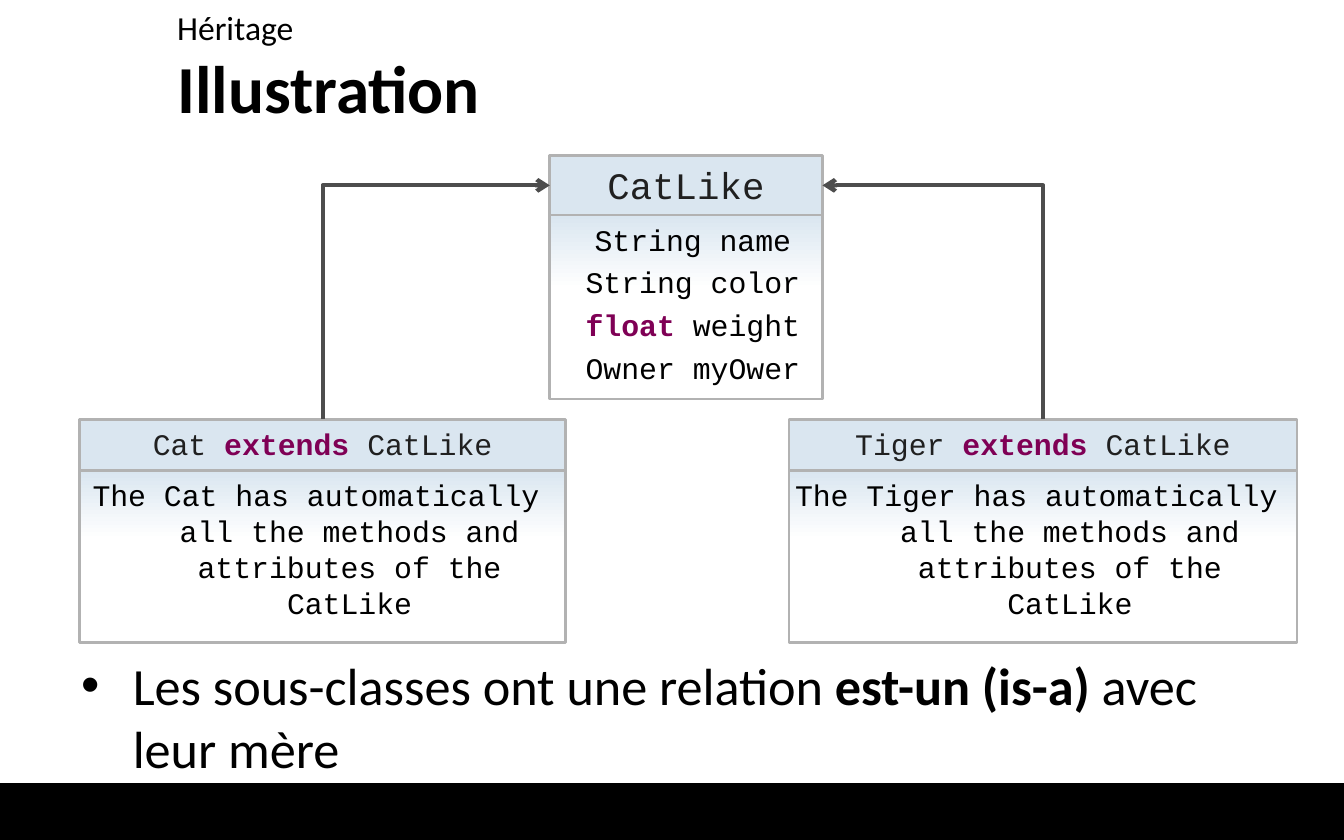
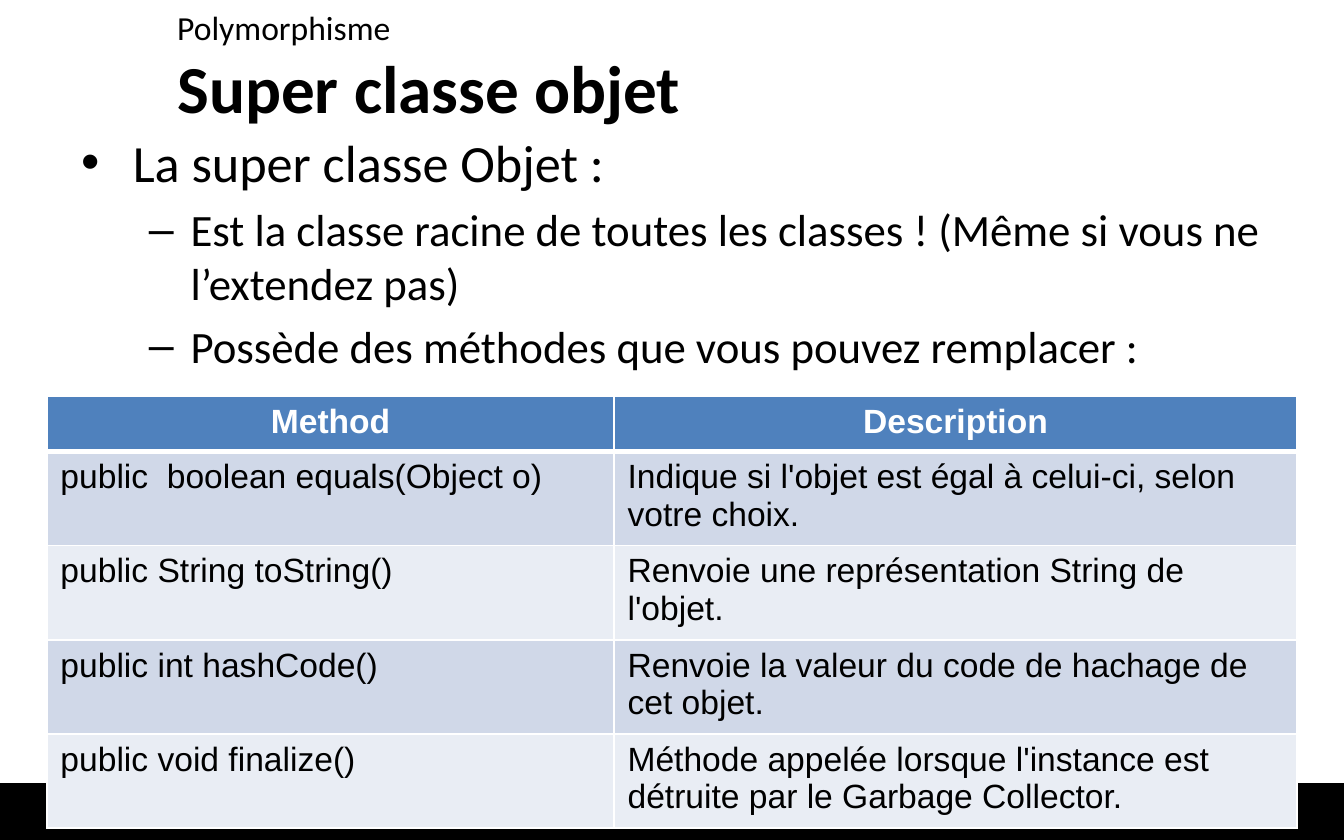
import pptx
import pptx.dml.color
import pptx.enum.shapes
import pptx.enum.text
import pptx.oxml
import pptx.oxml.ns
import pptx.util
from lxml import etree

Inches = pptx.util.Inches
Pt = pptx.util.Pt
RGBColor = pptx.dml.color.RGBColor
MSO_SHAPE = pptx.enum.shapes.MSO_SHAPE
MSO_ANCHOR = pptx.enum.text.MSO_ANCHOR
CENTER = pptx.enum.text.PP_ALIGN.CENTER
LEFT = pptx.enum.text.PP_ALIGN.LEFT
qn = pptx.oxml.ns.qn

BLACK = RGBColor(0x00, 0x00, 0x00)
WHITE = RGBColor(0xFF, 0xFF, 0xFF)
PALE_BLUE = RGBColor(0xDA, 0xE6, 0xF0)
BOX_BORDER = RGBColor(0xB2, 0xB2, 0xB2)
CLASS_NAME = RGBColor(0x20, 0x20, 0x20)
KEYWORD = RGBColor(0x7F, 0x00, 0x55)
ARROW = RGBColor(0x4D, 0x4D, 0x4D)
TABLE_HEADER = RGBColor(0x4F, 0x81, 0xBD)
ROW_BANDS = RGBColor(0xD0, 0xD8, 0xE8), RGBColor(0xE9, 0xED, 0xF4)

BODY_FONT = "Calibri"
CODE_FONT = "Courier New"
TABLE_FONT = "Arial"


def write(frame, runs, size, font=BODY_FONT, color=BLACK, bold=False,
          align=LEFT, indent=0, hanging=0, bullet=None, before=0):
    """Add one paragraph; a run given as (text, colour) is bold in that colour."""
    frame.word_wrap = True
    paragraph = frame.paragraphs[0]
    if paragraph.runs:
        paragraph = frame.add_paragraph()
    paragraph.alignment = align
    paragraph.space_before = Pt(before)
    properties = paragraph._p.get_or_add_pPr()
    properties.set("marL", str(Inches(indent)))
    properties.set("indent", str(-Inches(hanging)))
    if bullet:
        etree.SubElement(properties, qn("a:buFont"), typeface="Arial")
        etree.SubElement(properties, qn("a:buChar"), char=bullet)
    for part in [runs] if isinstance(runs, str) else runs:
        text, run_color, run_bold = (part, color, bold) if isinstance(part, str) else (*part, True)
        run = paragraph.add_run()
        run.text = text
        run.font.name = font
        run.font.size = Pt(size)
        run.font.bold = run_bold
        run.font.color.rgb = run_color


def add_text_box(slide, left, top, width, height):
    box = slide.shapes.add_textbox(*map(Inches, (left, top, width, height)))
    return box.text_frame


def add_rectangle(slide, left, top, width, height, fill, line, line_width):
    rectangle = slide.shapes.add_shape(
        MSO_SHAPE.RECTANGLE, *map(Inches, (left, top, width, height)))
    rectangle.shadow.inherit = False
    rectangle.fill.solid()
    rectangle.fill.fore_color.rgb = fill
    rectangle.line.color.rgb = line
    rectangle.line.width = Pt(line_width)
    rectangle.text_frame.vertical_anchor = MSO_ANCHOR.TOP
    return rectangle


def add_slide(presentation, chapter, heading):
    slide = presentation.slides.add_slide(presentation.slide_layouts[5])
    add_rectangle(slide, 0, 5.83, 10, 0.45, BLACK, BLACK, 0.75)
    title = slide.shapes.title
    title.left, title.top, title.width, title.height = map(Inches, (1.22, 0.37, 8.5, 0.55))
    title.text_frame.auto_size = pptx.enum.text.MSO_AUTO_SIZE.NONE
    title.text_frame.vertical_anchor = MSO_ANCHOR.MIDDLE
    write(title.text_frame, heading, 36, bold=True)
    write(add_text_box(slide, 1.22, 0, 8.51, 0.37), chapter, 18)
    return slide


def add_bullet(frame, runs, before=0):
    write(frame, runs, 28, indent=0.38, hanging=0.38, bullet="•", before=before)


def add_sub_bullet(frame, runs):
    write(frame, runs, 24, indent=0.81, hanging=0.31, bullet="–", before=4.8)


def add_class(slide, left, top, width, header_height, body_height, name, members,
              name_size=16, body_inset=0):
    """Draw a class box with its name above its members; return the name part."""
    header = add_rectangle(slide, left, top, width, header_height, PALE_BLUE, BOX_BORDER, 1.5)
    write(header.text_frame, name, name_size, CODE_FONT, CLASS_NAME, align=CENTER)

    body = add_rectangle(slide, left, top + header_height, width, body_height,
                         WHITE, BOX_BORDER, 1.5)
    body.fill.gradient()
    body.fill.gradient_angle = 270
    for stop, position, color in zip(body.fill.gradient_stops, (0, 0.4), (PALE_BLUE, WHITE)):
        stop.position = position
        stop.color.rgb = color
    body.text_frame.margin_left = Inches(body_inset)
    for index, member in enumerate(members):
        write(body.text_frame, member, 16, CODE_FONT, align=CENTER, indent=0.5,
              hanging=0.5, before=3.6 if index else 0)
    return header


def add_inheritance_arrow(slide, child, parent):
    """Run up from the top of the child, then sideways into the parent."""
    from_left = child.left < parent.left
    start_x, start_y = child.left + child.width // 2, child.top
    end_x = parent.left if from_left else parent.left + parent.width
    end_y = parent.top + parent.height // 2
    arrow = slide.shapes.add_connector(
        pptx.enum.shapes.MSO_CONNECTOR.ELBOW, start_x, start_y, end_x, end_y)
    arrow.begin_connect(child, 0)
    arrow.end_connect(parent, 1 if from_left else 3)

    # The one-bend preset leaves sideways, so it is turned a quarter to leave upwards.
    arrow.width, arrow.height = start_y - end_y, abs(end_x - start_x)
    arrow.left = (start_x + end_x - arrow.width) // 2
    arrow.top = (start_y + end_y - arrow.height) // 2
    properties = arrow._element.spPr
    frame = properties.find(qn("a:xfrm"))
    frame.set("rot", str((90 if from_left else 270) * 60000))
    frame.set("flipH", "1" if from_left else "0")
    frame.set("flipV", "1")
    properties.find(qn("a:prstGeom")).set("prst", "bentConnector2")

    arrow.line.color.rgb = ARROW
    arrow.line.width = Pt(2.25)
    etree.SubElement(arrow.line._get_or_add_ln(), qn("a:tailEnd"), type="arrow")
    etree.SubElement(properties, qn("a:effectLst"))


def set_borders(cell, bottom_width):
    properties = cell._tc.get_or_add_tcPr()
    widths = {"L": 1, "R": 1, "T": 1, "B": bottom_width}
    for index, (side, width) in enumerate(widths.items()):
        border = pptx.oxml.parse_xml(
            f'<a:ln{side} {pptx.oxml.ns.nsdecls("a")} w="{Pt(width)}">'
            f'<a:solidFill><a:srgbClr val="{WHITE}"/></a:solidFill></a:ln{side}>')
        properties.insert(index, border)


def add_method_table(slide, left, top, column_widths, row_height, rows):
    table = slide.shapes.add_table(
        len(rows), len(column_widths), Inches(left), Inches(top),
        Inches(sum(column_widths)), Inches(row_height * len(rows))).table
    for column, width in zip(table.columns, column_widths):
        column.width = Inches(width)
    for row_index, row in enumerate(rows):
        is_header = row_index == 0
        for column_index, text in enumerate(row):
            cell = table.cell(row_index, column_index)
            cell.fill.solid()
            cell.fill.fore_color.rgb = TABLE_HEADER if is_header else ROW_BANDS[(row_index - 1) % 2]
            set_borders(cell, 3 if is_header else 1)
            write(cell.text_frame, text, 18, TABLE_FONT, WHITE if is_header else BLACK,
                  bold=is_header, align=CENTER if is_header else LEFT)


def build_inheritance(presentation):
    slide = add_slide(presentation, "Héritage", "Illustration")
    bullets = add_text_box(slide, 0.51, 4.81, 9.06, 0.9)
    add_bullet(bullets, ["Les sous-classes ont une relation ", ("est-un (is-a)", BLACK),
                         " avec leur mère"])
    parent = add_class(
        slide, 4.09, 1.16, 2.03, 0.44, 1.37, "CatLike",
        ["String name", "String color", [("float ", KEYWORD), "weight"], "Owner myOwer"],
        name_size=20, body_inset=0.2)
    for name, left, width in (("Cat", 0.59, 3.62), ("Tiger", 5.87, 3.78)):
        child = add_class(
            slide, left, 3.12, width, 0.38, 1.28,
            [f"{name} ", ("extends ", KEYWORD), "CatLike"],
            [f"The {name} has automatically all the methods and attributes of the CatLike"])
        add_inheritance_arrow(slide, child, parent)


def build_object_class(presentation):
    slide = add_slide(presentation, "Polymorphisme", "Super classe objet")
    bullets = add_text_box(slide, 0.51, 0.92, 9.06, 2)
    add_bullet(bullets, "La super classe Objet :")
    add_sub_bullet(bullets, "Est la classe racine de toutes les classes ! "
                            "(Même si vous ne l’extendez pas)")
    add_sub_bullet(bullets, "Possède des méthodes que vous pouvez remplacer :")
    add_method_table(slide, 0.35, 2.95, (4.22, 5.08), 0.41, [
        ("Method", "Description"),
        ("public  boolean equals(Object o)",
         "Indique si l'objet est égal à celui-ci, selon votre choix."),
        ("public String toString()", "Renvoie une représentation String de l'objet."),
        ("public int hashCode()", "Renvoie la valeur du code de hachage de cet objet."),
        ("public void finalize()",
         "Méthode appelée lorsque l'instance est détruite par le Garbage Collector."),
    ])


def main():
    presentation = pptx.Presentation()
    presentation.slide_width = Inches(10)
    presentation.slide_height = Inches(6.25)
    build_inheritance(presentation)
    build_object_class(presentation)
    presentation.save("out.pptx")


if __name__ == "__main__":
    main()
